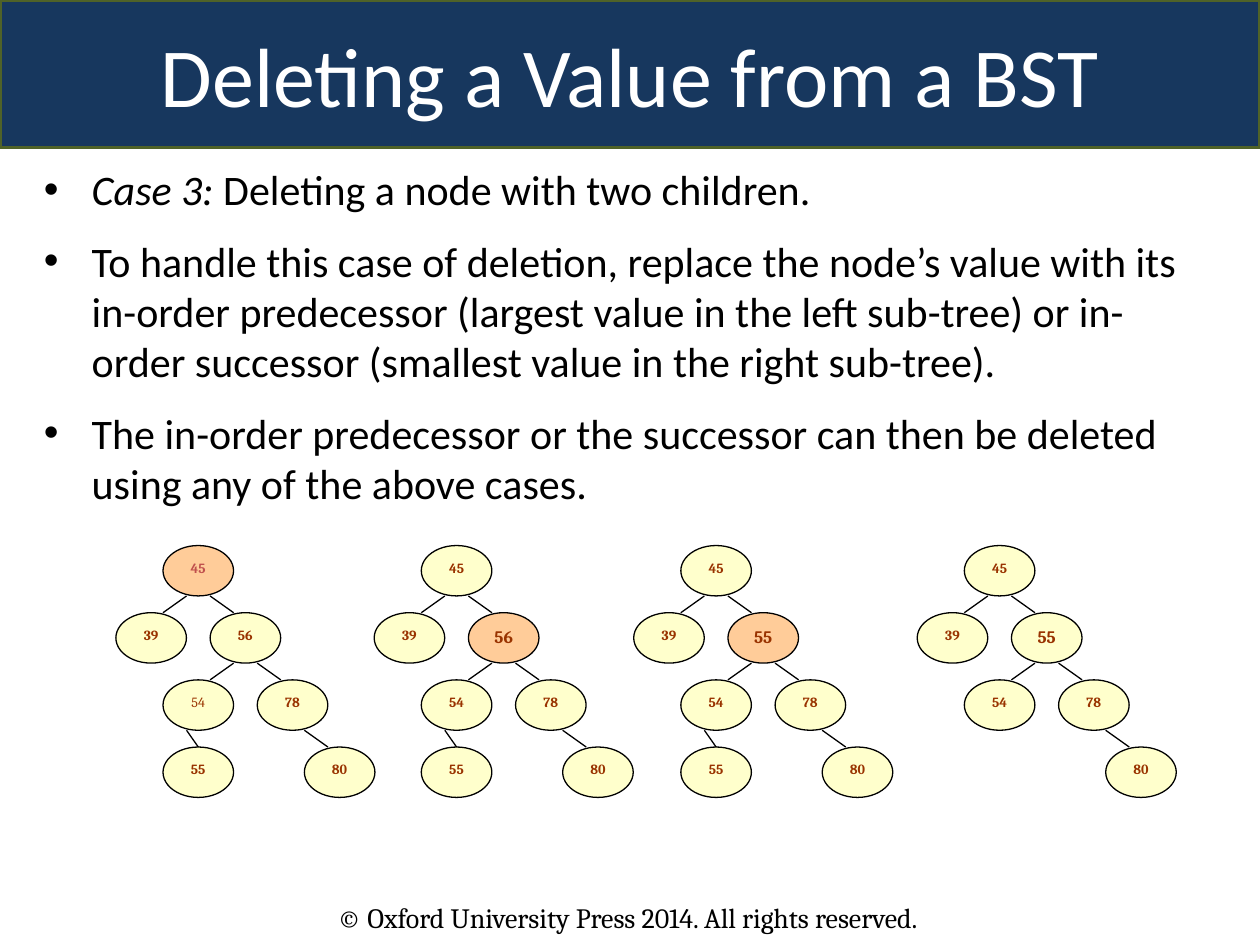
from lxml import etree
from pptx import Presentation
from pptx.dml.color import RGBColor
from pptx.enum.shapes import MSO_CONNECTOR, MSO_SHAPE
from pptx.enum.text import MSO_ANCHOR, PP_ALIGN
from pptx.oxml.ns import qn
from pptx.util import Inches, Pt

OVAL, BANNER = MSO_SHAPE.OVAL, MSO_SHAPE.ROUNDED_RECTANGLE
STRAIGHT = MSO_CONNECTOR.STRAIGHT
CENTER = PP_ALIGN.CENTER
TOP, MIDDLE = MSO_ANCHOR.TOP, MSO_ANCHOR.MIDDLE

COLORS = {
    "banner": "17375E", "banner_line": "4F6228", "title": "FFFFFF", "text": "000000",
    "node": "FFFFCC", "active": "FFCC99", "value": "993300", "deleted": "C0504D",
}

# Content
TITLE = "Deleting a Value from a BST"
FOOTER = "© Oxford University Press 2014. All rights reserved."
BULLETS = [
    [("Case 3:", True), (" Deleting a node with two children.", False)],
    [("To handle this case of deletion, replace the node’s value with its in-order "
      "predecessor (largest value in the left sub-tree) or in-order successor "
      "(smallest value in the right sub-tree).", False)],
    [("The in-order predecessor or the successor can then be deleted using any of "
      "the above cases.", False)],
]

# Node position: (column, level); parent and side it hangs from
POSITIONS = {
    "root": (2, 0), "left": (0, 1), "right": (4, 1), "inner": (2, 2),
    "outer": (6, 2), "leaf": (2, 3), "last": (8, 3),
}
EDGES = [
    ("root", "left", -1), ("root", "right", 1), ("right", "inner", -1),
    ("right", "outer", 1), ("inner", "leaf", -1), ("outer", "last", 1),
]
BASE = {"root": "45", "left": "39", "right": "56", "inner": "54",
        "outer": "78", "leaf": "55", "last": "80"}
SWAPPED = {**BASE, "right": "55"}
FINAL = {key: value for key, value in SWAPPED.items() if key != "leaf"}

# Each stage: tree left edge, values, highlighted node, enlarged node
STAGES = [
    (0.92, BASE, "root", None),
    (2.97, BASE, "right", "right"),
    (5.03, SWAPPED, "right", "right"),
    (7.28, FINAL, None, "right"),
]
TREE_TOP, COLUMN, LEVEL = 4.33, 0.187, 0.533
NODE_W, NODE_H = 0.56, 0.4


def rgb(name):
    return RGBColor.from_string(COLORS[name])


def add_run(paragraph, text, font, size, color, bold=False, italic=False):
    run = paragraph.add_run()
    run.text = text
    run.font.name, run.font.size = font, Pt(size)
    run.font.bold, run.font.italic = bold, italic
    run.font.color.rgb = rgb(color)


def add_filled(shapes, preset, box, fill, line, width, anchor):
    shape = shapes.add_shape(preset, *map(Inches, box))
    shape.shadow.inherit = False
    shape.fill.solid()
    shape.fill.fore_color.rgb = rgb(fill)
    shape.line.color.rgb = rgb(line)
    shape.line.width = Pt(width)
    shape.text_frame.vertical_anchor = anchor
    shape.text_frame.paragraphs[0].alignment = CENTER
    return shape


def add_textbox(shapes, box):
    frame = shapes.add_textbox(*map(Inches, box)).text_frame
    frame.word_wrap = True
    return frame


def add_edge(shapes, start, end):
    edge = shapes.add_connector(STRAIGHT, *map(Inches, (*start, *end)))
    edge.line.color.rgb = rgb("text")
    edge.line.width = Pt(0.75)
    etree.SubElement(edge._element.spPr, qn("a:effectLst"))


def add_tree(shapes, left, values, active, enlarged):
    corners = {key: (left + col * COLUMN, TREE_TOP + level * LEVEL)
               for key, (col, level) in POSITIONS.items() if key in values}
    # Edges lie behind the nodes
    for parent, child, side in EDGES:
        if child in values:
            (px, py), (cx, cy) = corners[parent], corners[child]
            shift = side * COLUMN / 2
            hidden = LEVEL / 4 if px == cx else 0
            add_edge(shapes, (px + NODE_W / 2 + shift, py + NODE_H),
                     (cx + NODE_W / 2 - shift, cy + hidden))
    for key, (x, y) in corners.items():
        node = add_filled(shapes, OVAL, (x, y, NODE_W, NODE_H),
                          "active" if key == active else "node", "text", 0.75, TOP)
        node.text_frame.margin_left = node.text_frame.margin_right = 0
        first_stage = active == "root"
        add_run(node.text_frame.paragraphs[0], values[key], "Cambria",
                10 if key == enlarged else 8,
                "deleted" if key == active == "root" else "value",
                bold=not (first_stage and key == "inner"))


prs = Presentation()
prs.slide_width, prs.slide_height = Inches(10), Inches(7.5)
slide = prs.slides.add_slide(prs.slide_layouts[6])
shapes = slide.shapes

# Footer
footer = add_textbox(shapes, (2.58, 7.1, 5.92, 0.37))
add_run(footer.paragraphs[0], FOOTER, "Cambria", 16, "text")

# Title banner
banner = add_filled(shapes, BANNER, (0, 0, 10, 1.17), "banner", "banner_line", 2, MIDDLE)
banner.adjustments[0] = 0
add_run(banner.text_frame.paragraphs[0], TITLE, "Calibri", 48, "title")

# Deletion stages
for stage in STAGES:
    add_tree(shapes.add_group_shape().shapes, *stage)

# Bullets
body = add_textbox(shapes, (0.25, 1.25, 9.33, 2.9))
for index, runs in enumerate(BULLETS):
    paragraph = body.add_paragraph() if index else body.paragraphs[0]
    props = paragraph._p.get_or_add_pPr()
    props.set("marL", str(Inches(0.38)))
    props.set("indent", str(-Inches(0.38)))
    etree.SubElement(props, qn("a:buFont")).set("typeface", "Arial")
    etree.SubElement(props, qn("a:buChar")).set("char", "•")
    if index:
        paragraph.space_before = Pt(12)
    for text, italic in runs:
        add_run(paragraph, text, "Calibri", 24, "text", italic=italic)

prs.save("out.pptx")
